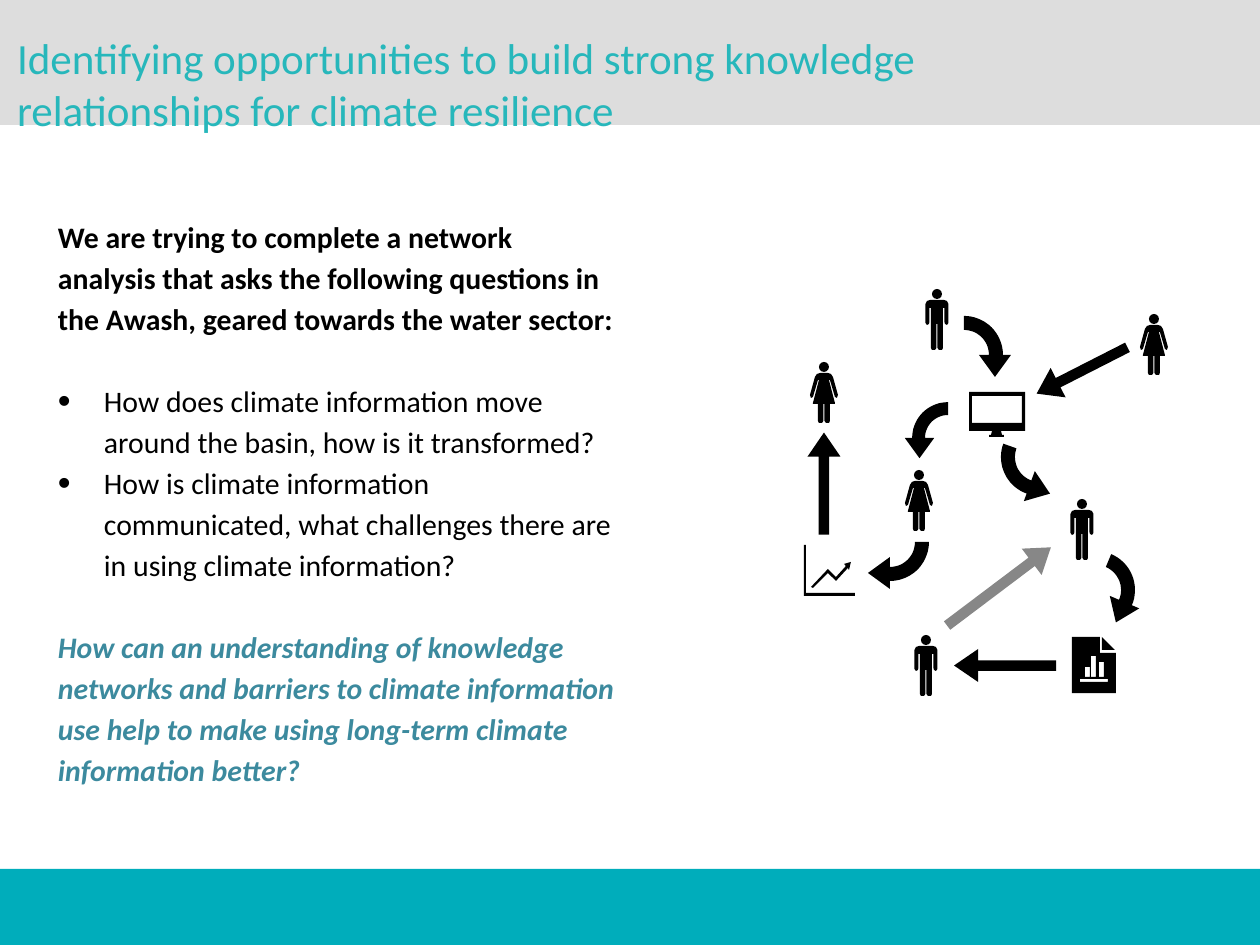
from math import cos, radians, sin

from lxml import etree
from pptx import Presentation
from pptx.dml.color import RGBColor
from pptx.enum.shapes import MSO_SHAPE
from pptx.enum.text import MSO_ANCHOR, MSO_AUTO_SIZE, PP_ALIGN
from pptx.oxml.ns import qn
from pptx.util import Pt

RECTANGLE, ELLIPSE = MSO_SHAPE.RECTANGLE, MSO_SHAPE.OVAL
STRAIGHT_ARROW = MSO_SHAPE.RIGHT_ARROW
TOP, MIDDLE, LEFT = MSO_ANCHOR.TOP, MSO_ANCHOR.MIDDLE, PP_ALIGN.LEFT
NO_AUTOFIT = MSO_AUTO_SIZE.NONE

PX = 914400 / 126
FINE = 10  # outline steps per px
BLACK, TEAL, GREY = "000000", "00ADBB", "DDDDDD"
color = RGBColor.from_string


def paint(shape, fill=BLACK):
    """Give a shape a plain fill without line or shadow."""
    shape.shadow.inherit = False
    shape.fill.solid()
    shape.fill.fore_color.rgb = color(fill)
    shape.line.fill.background()
    return shape


def add_outline(*contours):
    """Draw closed contours as one black shape; inner contours become holes."""
    contours = [[(x * FINE, y * FINE) for x, y in contour] for contour in contours]
    builder = slide.shapes.build_freeform(*contours[0][0], scale=PX / FINE)
    for contour in contours:
        builder.move_to(*contour[0])
        builder.add_line_segments(contour[1:], close=True)
    paint(builder.convert_to_shape())


presentation = Presentation()
presentation.slide_width = round(1260 * PX)
presentation.slide_height = round(945 * PX)
slide = presentation.slides.add_slide(presentation.slide_layouts[5])
title = slide.shapes.title

# Bands behind the title
for top, height, fill in [(869, 76, TEAL), (0, 125, GREY)]:
    band = slide.shapes.add_shape(
        RECTANGLE, 0, round(top * PX), presentation.slide_width, round(height * PX))
    paint(band, fill)
    title._element.addprevious(band._element)

# Title and body boxes, the body with a wider right margin
body = slide.shapes.add_textbox(0, 0, 0, 0)
for box, (left, top, width, height), anchor, right_margin in [
    (title, (11, 4, 1134, 158), MIDDLE, 6),
    (body, (52, 207, 595, 580), TOP, 32),
]:
    for name, value in dict(left=left, top=top, width=width, height=height).items():
        setattr(box, name, round(value * PX))
    inset = round(6 * PX)
    frame_format = dict(
        word_wrap=True, auto_size=NO_AUTOFIT, vertical_anchor=anchor, margin_left=inset,
        margin_right=round(right_margin * PX), margin_top=inset, margin_bottom=inset)
    for name, value in frame_format.items():
        setattr(box.text_frame, name, value)

title.text_frame.text = (
    "Identifying opportunities to build strong knowledge relationships for climate resilience")
title_paragraph = title.text_frame.paragraphs[0]
title_paragraph.alignment = LEFT
for name, value in dict(name="Calibri", size=Pt(24.6)).items():
    setattr(title_paragraph.font, name, value)
title_paragraph.font.color.rgb = color("27B7BB")

# Body text: wording, colour, bold, italic, bulleted, space before
body_texts = [
    ("We are trying to complete a network analysis that asks the following questions "
     "in the Awash, geared towards the water sector:", BLACK, True, False, False, 0),
    ("How does climate information move around the basin, how is it transformed?",
     BLACK, False, False, True, 23.5),
    ("How is climate information communicated, what challenges there are in using "
     "climate information?", BLACK, False, False, True, 0),
    ("How can an understanding of knowledge networks and barriers to climate information "
     "use help to make using long-term climate information better?",
     "3C8A9E", True, True, False, 23.5),
]
for index, (text, text_color, bold, italic, bulleted, space) in enumerate(body_texts):
    frame = body.text_frame
    paragraph = frame.add_paragraph() if index else frame.paragraphs[0]
    paragraph.line_spacing = 1.15
    paragraph.space_before = Pt(space)
    run = paragraph.add_run()
    run.text = text
    for name, value in dict(name="Calibri", size=Pt(17), bold=bold, italic=italic).items():
        setattr(run.font, name, value)
    run.font.color.rgb = color(text_color)
    if bulleted:
        properties = paragraph._p.get_or_add_pPr()
        indent = round(46 * PX)
        properties.set("marL", str(indent))
        properties.set("indent", str(-indent))
        etree.SubElement(properties, qn("a:buSzPct"), val="123000")
        etree.SubElement(properties, qn("a:buFont"), typeface="Arial")
        etree.SubElement(properties, qn("a:buChar"), char="•")

# People: right half of each body, mirrored about its centre line
MAN = [(0, 11), (7, 11), (10, 12), (11.5, 15), (11.5, 34), (10, 36), (8, 35), (7.5, 33),
       (7.5, 19), (6, 19), (6, 59), (5, 61), (2, 61), (0.5, 59), (0.5, 35), (0, 35)]
WOMAN = [(0, 11), (4, 11), (7, 12), (9, 15), (14, 33), (13, 36), (11, 35), (6, 18), (5, 18),
         (11, 41), (11, 42), (6, 42), (6, 59), (5, 61), (2, 61), (0.5, 59), (0.5, 42), (0, 42)]
people = [(MAN, 937, 289), (MAN, 1082, 499), (MAN, 926, 635),
          (WOMAN, 1154, 314), (WOMAN, 824, 362), (WOMAN, 919, 470)]
for half, center, top in people:
    add_outline([(center + x, top + y) for x, y in half]
                + [(center - x, top + y) for x, y in reversed(half)])
    paint(slide.shapes.add_shape(
        ELLIPSE, round((center - 5) * PX), round(top * PX), round(10 * PX), round(10 * PX)))

# Monitor
add_outline(
    [(969, 392), (1025, 392), (1025, 431), (1001, 431), (1002, 435), (1004, 435), (1004, 437),
     (989, 437), (989, 435), (991, 435), (992, 431), (969, 431)],
    [(972, 396), (1022, 396), (1022, 423), (972, 423)])

# Line graph
add_outline(
    [(804, 545), (806, 545), (806, 593), (855, 593), (855, 596), (804, 596)],
    [(851, 562), (844, 564), (846, 566), (836, 577), (828, 569), (811, 587), (813, 588),
     (828, 573), (836, 581), (848, 568), (849, 570)])

# Report with bars cut out
cutouts = [(1085, 667, 1090, 677), (1091, 656, 1096, 677),
           (1099, 662, 1104, 677), (1080, 679, 1108, 682)]
add_outline(
    [(1072, 637), (1100, 637), (1100, 653), (1116, 653), (1116, 693), (1072, 693)],
    [(1102, 637), (1115, 650), (1102, 650)],
    *[[(x1, y1), (x2, y1), (x2, y2), (x1, y2)] for x1, y1, x2, y2 in cutouts])

# Straight arrows: left, top, length, rotation, opacity in percent
for left, top, length, rotation, opacity in [
    (773, 467, 102, 270, 100), (1031, 354, 102, 153, 100),
    (954, 649, 102, 180, 100), (934, 570, 130, 323, 47),
]:
    arrow = paint(slide.shapes.add_shape(
        STRAIGHT_ARROW, round(left * PX), round(top * PX), round(length * PX), round(33 * PX)))
    arrow.rotation = rotation
    arrow.adjustments[0], arrow.adjustments[1] = 0.32, 0.73
    if opacity < 100:
        fill_color = arrow._element.spPr.find(qn("a:solidFill"))[0]
        etree.SubElement(fill_color, qn("a:alpha"), val=str(opacity * 1000))

# Quarter-turn arrows: centre, start angle, direction of turn, size
for center_x, center_y, start, turn, size in [
    (964, 355, -90, 1, 1), (948, 438, -90, -1, 0.92), (1096, 590, -67, 1, 1),
    (890, 542, 0, 1, 1), (1040, 457, 200, -1, 1),
]:
    angles = [start + turn * step for step in range(0, 91, 5)]
    end = angles[-1]
    polar = [(39, angle) for angle in angles] + [(47, end), (None, end), (15, end)]
    polar += [(25, angle) for angle in reversed(angles)]
    points = []
    for radius, angle in polar:
        ahead = 22 * turn if radius is None else 0
        radius = radius or 31
        x, y = cos(radians(angle)), sin(radians(angle))
        points.append((center_x + size * (radius * x - ahead * y),
                       center_y + size * (radius * y + ahead * x)))
    add_outline(points)

presentation.save("out.pptx")
